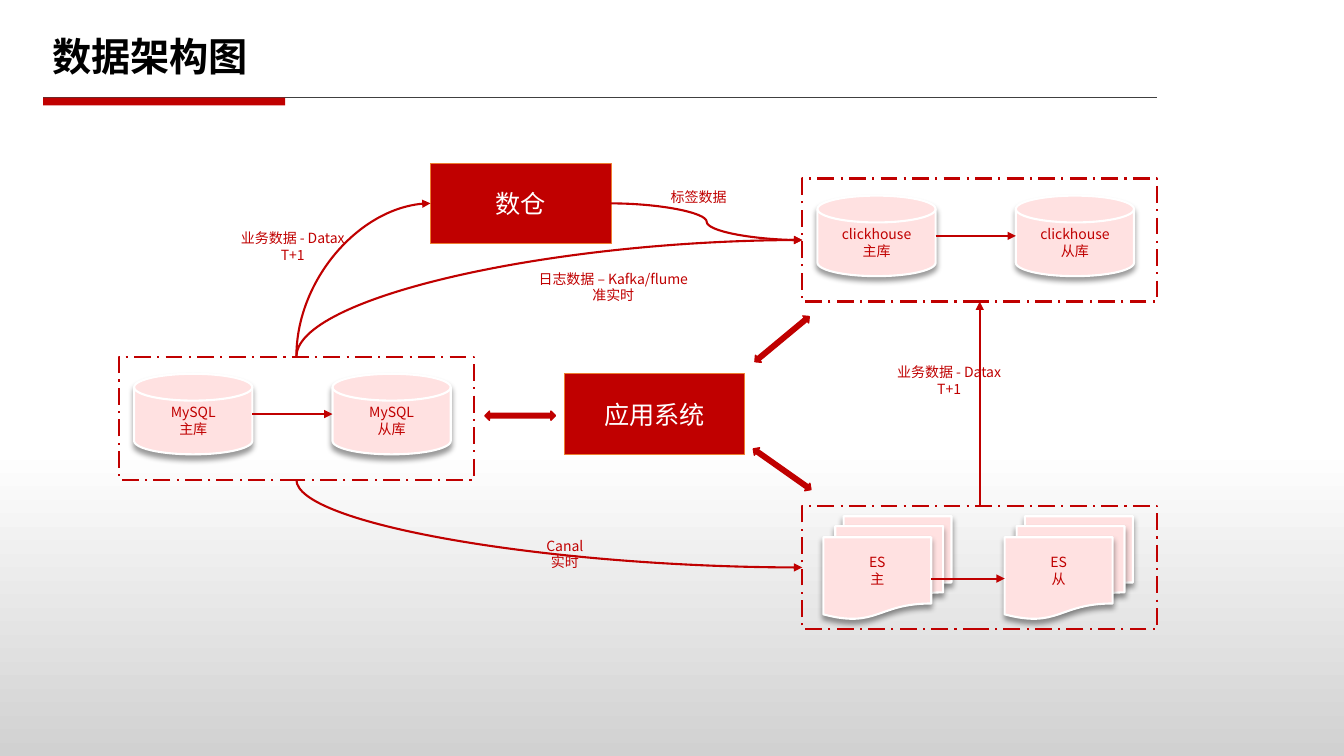
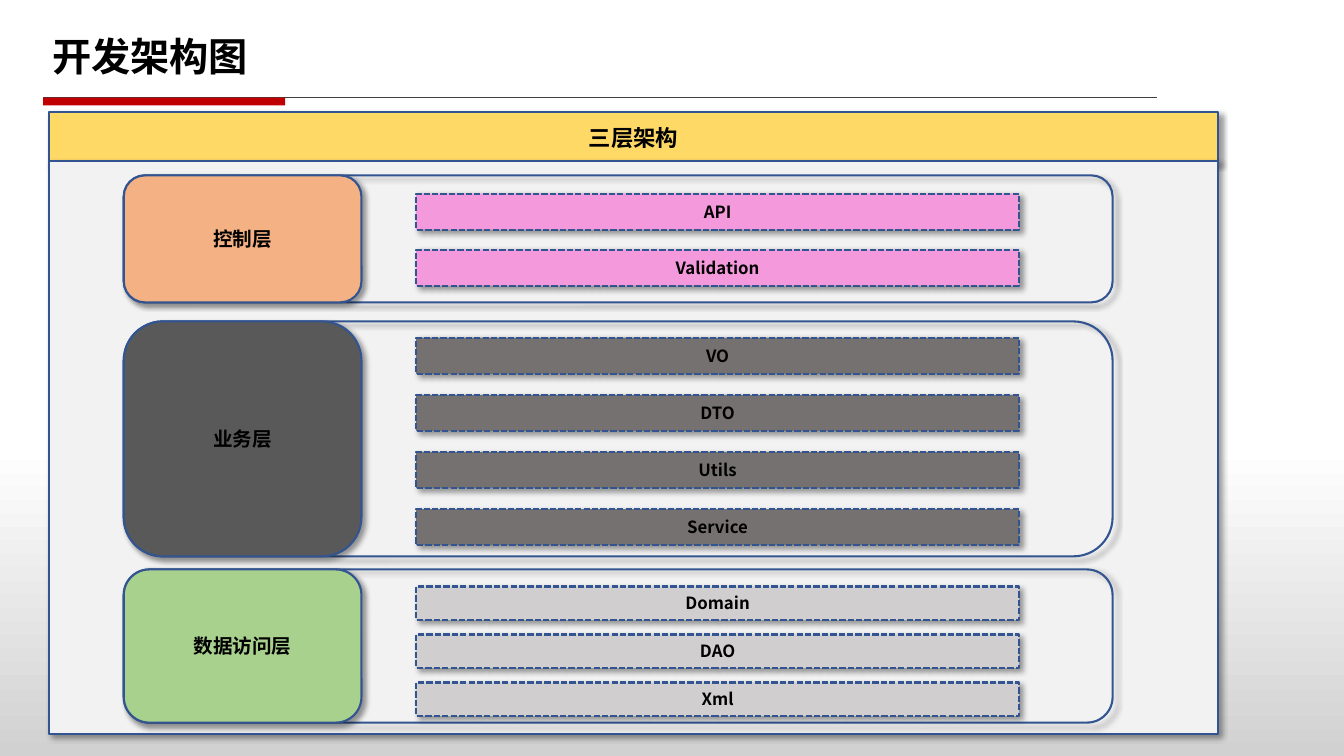
from lxml import etree
from pptx import Presentation
from pptx.dml.color import RGBColor
from pptx.enum.dml import MSO_LINE
from pptx.enum.shapes import MSO_CONNECTOR, MSO_SHAPE
from pptx.enum.text import MSO_ANCHOR, PP_ALIGN
from pptx.oxml.ns import qn
from pptx.util import Cm, Pt

RECT = MSO_SHAPE.RECTANGLE
ROUND = MSO_SHAPE.ROUNDED_RECTANGLE
DISK = MSO_SHAPE.FLOWCHART_MAGNETIC_DISK
PAPER = MSO_SHAPE.FLOWCHART_DOCUMENT
DOUBLE = MSO_SHAPE.LEFT_RIGHT_ARROW
STRAIGHT = MSO_CONNECTOR.STRAIGHT
CURVE = MSO_CONNECTOR.CURVE
DASH_DOT = MSO_LINE.LONG_DASH_DOT
DASH = MSO_LINE.SQUARE_DOT
MIDDLE = MSO_ANCHOR.MIDDLE
CENTER = PP_ALIGN.CENTER
LEFT = PP_ALIGN.LEFT
TOP_SIDE, LEFT_SIDE, LOW_SIDE, RIGHT_SIDE = range(4)

FONT = "Noto Sans CJK SC"
RED = "C00000"
PINK = "FFE1E1"
WHITE = "FFFFFF"
BLACK = "000000"
ORANGE = "ED7D31"
BLUE = "325491"


def rgb(code):
    return RGBColor.from_string(code)


def write(shape, lines, size, color=BLACK, bold=False, align=CENTER):
    frame = shape.text_frame
    for row, line in enumerate(lines):
        para = frame.add_paragraph() if row else frame.paragraphs[0]
        para.alignment = align
        run = para.add_run()
        run.text = line
        font = run.font
        font.name, font.size, font.bold = FONT, Pt(size), bold
        font.color.rgb = rgb(color)
        east = etree.SubElement(run._r.get_or_add_rPr(), qn("a:ea"))
        east.set("typeface", FONT)


def shade(shape, angle):
    effects = shape._element.spPr.find(qn("a:effectLst"))
    outer = etree.SubElement(effects, qn("a:outerShdw"), blurRad=str(Pt(4)),
                             dist=str(Pt(3)), dir=str(angle * 60000),
                             algn="ctr", rotWithShape="0")
    color = etree.SubElement(outer, qn("a:srgbClr"), val=BLACK)
    etree.SubElement(color, qn("a:alpha"), val="40000")


def box(slide, kind, place, fill=None, edge=None, width=1.5, dash=None,
        shadow=None):
    shape = slide.shapes.add_shape(kind, *map(Cm, place))
    shape.shadow.inherit = False
    if fill:
        shape.fill.solid()
        shape.fill.fore_color.rgb = rgb(fill)
    else:
        shape.fill.background()
    if edge:
        shape.line.color.rgb = rgb(edge)
        shape.line.width = Pt(width)
        if dash:
            shape.line.dash_style = dash
    else:
        shape.line.fill.background()
    if shadow is not None:
        shade(shape, shadow)
    shape.text_frame.vertical_anchor = MIDDLE
    return shape


def label(slide, place, lines):
    text = slide.shapes.add_textbox(*map(Cm, place))
    text.text_frame.word_wrap = False
    write(text, lines, 10, RED)


def spot(shape, side):
    across = {LEFT_SIDE: 0, RIGHT_SIDE: 2}.get(side, 1)
    down = {TOP_SIDE: 0, LOW_SIDE: 2}.get(side, 1)
    return (shape.left + shape.width * across // 2,
            shape.top + shape.height * down // 2)


def link(slide, kind, start, end, color=RED, width=1.5, head=True):
    line = slide.shapes.add_connector(kind, *start, *end)
    line.line.color.rgb = rgb(color)
    line.line.width = Pt(width)
    if head:
        etree.SubElement(line.line._get_or_add_ln(), qn("a:tailEnd"),
                         type="triangle")
    etree.SubElement(line._element.spPr, qn("a:effectLst"))
    return line


def swoop(slide, start, end):
    mid_x, mid_y = (start[0] + end[0]) // 2, (start[1] + end[1]) // 2
    half_w, half_h = abs(end[1] - start[1]) // 2, abs(end[0] - start[0]) // 2
    line = link(slide, CURVE, (mid_x - half_w, mid_y - half_h),
                (mid_x + half_w, mid_y + half_h))
    props = line._element.spPr
    props.find(qn("a:prstGeom")).set("prst", "curvedConnector2")
    turn = props.find(qn("a:xfrm"))
    rises = end[1] < start[1]
    turn.set("rot", str((90 if rises else 270) * 60000))
    turn.set("flipH", "1")
    if rises:
        turn.set("flipV", "1")


def group(slide, x, y):
    return box(slide, RECT, (x, y, 8.94, 3.1), None, RED, dash=DASH_DOT)


def node(slide, kind, place, lines):
    shape = box(slide, kind, place, PINK, WHITE, shadow=90)
    write(shape, lines, 10, RED)
    return shape


def join(slide, pair):
    first, last = pair
    link(slide, STRAIGHT, spot(first, RIGHT_SIDE), spot(last, LEFT_SIDE))


def disks(slide, x, y, name):
    frame = group(slide, x, y)
    join(slide, [node(slide, DISK, (x + 0.38 + 5 * col, y + 0.43, 2.98, 2.03),
                      [name, role])
                 for col, role in enumerate(["主库", "从库"])])
    return frame


def stack(slide, x, y, lines):
    for right, up in [(0.51, 0.53), (0.3, 0.28)]:
        node(slide, PAPER, (x + right, y - up, 2.72, 2.08), [])
    return node(slide, PAPER, (x, y, 2.72, 2.08), lines)


def papers(slide, x, y, name):
    join(slide, [stack(slide, x + 0.53 + 4.57 * col, y + 0.79, [name, role])
                 for col, role in enumerate(["主", "从"])])
    return group(slide, x, y)


def block(slide, x, y, name):
    shape = box(slide, RECT, (x, y, 4.55, 2.03), RED, ORANGE, 0.5)
    write(shape, [name], 18, WHITE)
    return shape


def layer(slide, y, height, name, fill, tint, top, step, tall, items):
    box(slide, ROUND, (3.12, y, 24.92, height), None, BLUE, shadow=45)
    tag = box(slide, ROUND, (3.12, y, 5.99, height), fill, BLUE, shadow=45)
    write(tag, [name], 14, bold=True)
    for row, item in enumerate(items):
        bar = box(slide, RECT, (10.49, top + step * row, 15.19, tall),
                  tint, BLUE, dash=DASH, shadow=45)
        write(bar, [item], 12, bold=True)


def page(deck, title):
    slide = deck.slides.add_slide(deck.slide_layouts[6])
    link(slide, STRAIGHT, (Cm(1.09), Cm(2.46)), (Cm(29.16), Cm(2.46)),
         "404040", 0.5, False)
    box(slide, RECT, (1.09, 2.46, 6.1, 0.2), RED)
    text = slide.shapes.add_textbox(Cm(1.07), Cm(0.69), Cm(20.6), Cm(1.45))
    text.text_frame.word_wrap = True
    write(text, [title], 28, bold=True, align=LEFT)
    return slide


def paint(deck):
    fill = deck.slide_master.background.fill
    fill.gradient()
    fill.gradient_angle = 270
    for stop, (place, color) in zip(fill.gradient_stops,
                                    [(0.59, WHITE), (1, "D1D1D1")]):
        stop.position = place
        stop.color.rgb = rgb(color)


def data(deck):
    slide = page(deck, "数据架构图")
    block(slide, 14.22, 9.42, "应用系统")
    click = disks(slide, 20.22, 4.5, "clickhouse")
    base = disks(slide, 3, 8.99, "MySQL")
    index = papers(slide, 20.22, 12.75, "ES")
    house = block(slide, 10.85, 4.11, "数仓")

    swoop(slide, spot(base, LOW_SIDE), spot(index, LEFT_SIDE))
    for goal in (house, click):
        swoop(slide, spot(base, TOP_SIDE), spot(goal, LEFT_SIDE))
    link(slide, CURVE, spot(house, RIGHT_SIDE), spot(click, LEFT_SIDE))
    rise = link(slide, STRAIGHT, spot(index, TOP_SIDE), spot(click, LOW_SIDE))
    rise.begin_connect(index, TOP_SIDE)
    rise.end_connect(click, LOW_SIDE)

    for x, y, turn in [(12.22, 10.36, 0), (18.82, 8.43, 320.3),
                       (18.82, 11.71, 35.2)]:
        arrow = box(slide, DOUBLE, (x, y, 1.78, 0.23), RED, RED, 1)
        arrow.rotation = turn

    batch = ["业务数据 - Datax", "T+1"]
    label(slide, (13.26, 6.68, 4.39, 1.12), ["日志数据 – Kafka/flume", "准实时"])
    label(slide, (5.74, 5.66, 3.28, 1.12), batch)
    label(slide, (22.28, 9.04, 3.28, 1.12), batch)
    label(slide, (13.51, 13.41, 1.45, 1.12), ["Canal", "实时"])
    label(slide, (16.64, 4.62, 1.93, 0.69), ["标签数据"])


def code(deck):
    slide = page(deck, "开发架构图")
    band = box(slide, RECT, (1.24, 2.82, 29.46, 1.27), "FFD966", BLUE,
               shadow=45)
    write(band, ["三层架构"], 16, bold=True)
    box(slide, RECT, (1.24, 4.06, 29.46, 14.43), "F2F2F2", BLUE, shadow=45)
    layer(slide, 4.42, 3.2, "控制层", "F4B183", "F599DD",
          4.88, 1.41, 0.91, ["API", "Validation"])
    layer(slide, 8.1, 5.92, "业务层", "595959", "767171",
          8.51, 1.44, 0.91, ["VO", "DTO", "Utils", "Service"])
    layer(slide, 14.35, 3.86, "数据访问层", "A9D18E", "D0CECE",
          14.78, 1.21, 0.84, ["Domain", "DAO", "Xml"])


def main():
    deck = Presentation()
    deck.slide_width, deck.slide_height = Cm(33.87), Cm(19.05)
    paint(deck)
    data(deck)
    code(deck)
    deck.save("out.pptx")


if __name__ == "__main__":
    main()
